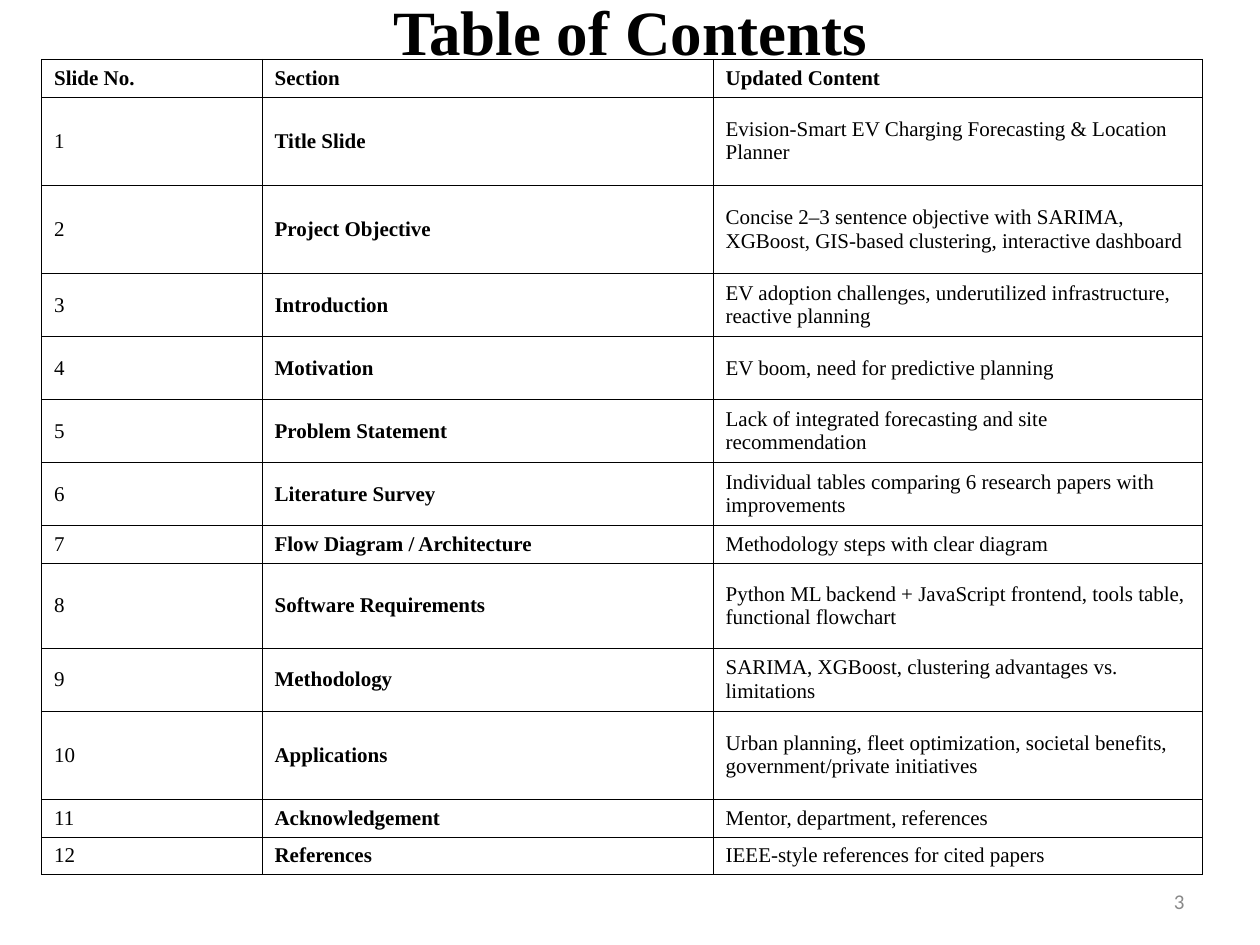
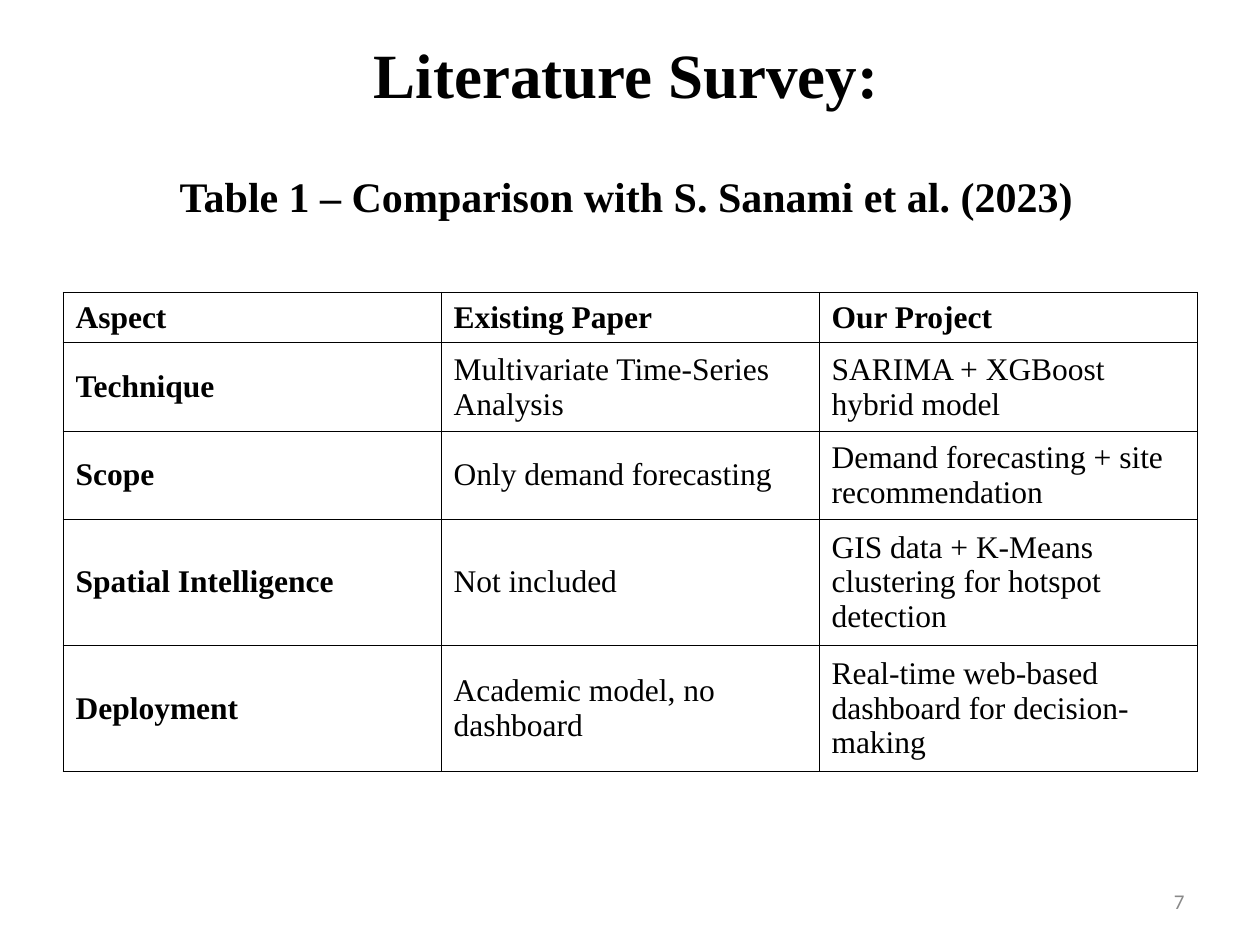
from collections import namedtuple

from lxml.etree import SubElement
from pptx import Presentation
from pptx.dml.color import RGBColor
from pptx.enum.text import MSO_ANCHOR, PP_ALIGN
from pptx.oxml.ns import qn
from pptx.util import Inches, Pt

Box = namedtuple("Box", "left top width height")

COLUMNS, ROWS = 10, 7.5
UNIT = Inches(1)  # one grid column or row
SERIF, SANS = "Times New Roman", "Calibri"
BLACK, WHITE, GREY = "000000", "FFFFFF", "898989"
NUMBER_BOX = Box(7.17, 6.95, 2.33, 0.4)
BORDER_SIDES = ("a:lnL", "a:lnR", "a:lnT", "a:lnB")
BORDER_WIDTH = Pt(0.45)

CONTENTS = [
    ("Slide No.", "Section", "Updated Content"),
    ("1", "Title Slide", "Evision-Smart EV Charging Forecasting & Location Planner"),
    ("2", "Project Objective",
     "Concise 2–3 sentence objective with SARIMA, XGBoost, GIS-based clustering, interactive dashboard"),
    ("3", "Introduction", "EV adoption challenges, underutilized infrastructure, reactive planning"),
    ("4", "Motivation", "EV boom, need for predictive planning"),
    ("5", "Problem Statement", "Lack of integrated forecasting and site recommendation"),
    ("6", "Literature Survey", "Individual tables comparing 6 research papers with improvements"),
    ("7", "Flow Diagram / Architecture", "Methodology steps with clear diagram"),
    ("8", "Software Requirements",
     "Python ML backend + JavaScript frontend, tools table, functional flowchart"),
    ("9", "Methodology", "SARIMA, XGBoost, clustering advantages vs. limitations"),
    ("10", "Applications",
     "Urban planning, fleet optimization, societal benefits, government/private initiatives"),
    ("11", "Acknowledgement", "Mentor, department, references"),
    ("12", "References", "IEEE-style references for cited papers"),
]
CONTENTS_ROWS = [0.3, 0.7, 0.7, 0.5, 0.5, 0.5, 0.5, 0.3, 0.67, 0.5, 0.7, 0.3, 0.3]

COMPARISON = [
    ("Aspect", "Existing Paper", "Our Project"),
    ("Technique", "Multivariate Time-Series Analysis", "SARIMA + XGBoost hybrid model"),
    ("Scope", "Only demand forecasting", "Demand forecasting + site recommendation"),
    ("Spatial Intelligence", "Not included", "GIS data + K-Means clustering for hotspot detection"),
    ("Deployment", "Academic model, no dashboard", "Real-time web-based dashboard for decision-making"),
]
COMPARISON_ROWS = [0.4, 0.7, 0.7, 1, 1]


def color(value):
    return RGBColor.from_string(value)


def units(count):
    return int(count * UNIT)


def set_all(target, values):
    for name, value in values.items():
        setattr(target, name, value)


def write(para, text, size, bold=False, font=SERIF, ink=BLACK):
    span = para.add_run()
    span.text = text
    set_all(span.font, {"name": font, "size": Pt(size), "bold": bold})
    span.font.color.rgb = color(ink)


def add_text_frame(page, box, anchor, inset=0):
    frame = page.shapes.add_textbox(*map(units, box)).text_frame
    set_all(frame, {"word_wrap": True, "vertical_anchor": anchor,
                    "margin_top": units(inset), "margin_bottom": 0})
    return frame


def add_title(page, box, title, inset=0, subtitle=None, gap=34):
    frame = add_text_frame(page, box, MSO_ANCHOR.TOP, inset)
    para = frame.paragraphs[0]
    para.alignment = PP_ALIGN.CENTER
    write(para, title, 36, bold=True)
    if subtitle:
        para = frame.add_paragraph()
        set_all(para, {"alignment": PP_ALIGN.CENTER, "space_before": Pt(gap)})
        write(para, subtitle, 24, bold=True)


def add_page_number(page, number):
    para = add_text_frame(page, NUMBER_BOX, MSO_ANCHOR.MIDDLE).paragraphs[0]
    para.alignment = PP_ALIGN.RIGHT
    write(para, str(number), 12, font=SANS, ink=GREY)


def add_borders(cell):
    properties = cell._tc.get_or_add_tcPr()
    for position, side in enumerate(BORDER_SIDES):
        line = SubElement(properties, qn(side), w=str(int(BORDER_WIDTH)))
        fill = SubElement(line, qn("a:solidFill"))
        SubElement(fill, qn("a:srgbClr"), val=BLACK)
        properties.insert(position, line)


def add_ruled_table(page, box, records, widths, heights, size, label_column):
    """Share the box out by the given widths and heights; header and label column are bold."""
    frame = page.shapes.add_table(len(records), len(widths), *map(units, box))
    table = frame.table
    set_all(table, {"first_row": False, "horz_banding": False})
    for column, width in zip(table.columns, widths):
        column.width = units(box.width * width / sum(widths))
    for row, height in zip(table.rows, heights):
        row.height = units(box.height * height / sum(heights))
    for row_index, record in enumerate(records):
        for column_index, text in enumerate(record):
            cell = table.cell(row_index, column_index)
            set_all(cell, {"vertical_anchor": MSO_ANCHOR.MIDDLE,
                           "margin_left": units(0.1), "margin_right": units(0.1),
                           "margin_top": units(0.05), "margin_bottom": units(0.05)})
            cell.fill.background()
            add_borders(cell)
            bold = row_index == 0 or column_index == label_column
            write(cell.text_frame.paragraphs[0], text, size, bold)


def add_page(deck, number):
    page = deck.slides.add_slide(deck.slide_layouts[6])
    page.background.fill.solid()
    page.background.fill.fore_color.rgb = color(WHITE)
    add_page_number(page, number)
    return page


def build_contents(deck):
    page = add_page(deck, 3)
    add_title(page, Box(0.5, -0.16, 9, 1.25), "Table of Contents", inset=0.1)
    add_ruled_table(page, Box(0.33, 0.47, 9.21, 6.47), CONTENTS,
                    [1.75, 3.58, 3.88], CONTENTS_ROWS, size=12, label_column=1)


def build_survey(deck):
    page = add_page(deck, 7)
    add_title(page, Box(0.47, 0.28, 9, 1.35), "Literature Survey:",
              subtitle="Table 1 – Comparison with S. Sanami et al. (2023)")
    add_ruled_table(page, Box(0.5, 2.32, 9, 3.8), COMPARISON,
                    [1, 1, 1], COMPARISON_ROWS, size=18, label_column=0)


def main():
    deck = Presentation()
    set_all(deck, {"slide_width": units(COLUMNS), "slide_height": units(ROWS)})
    build_contents(deck)
    build_survey(deck)
    deck.save("out.pptx")


if __name__ == "__main__":
    main()
